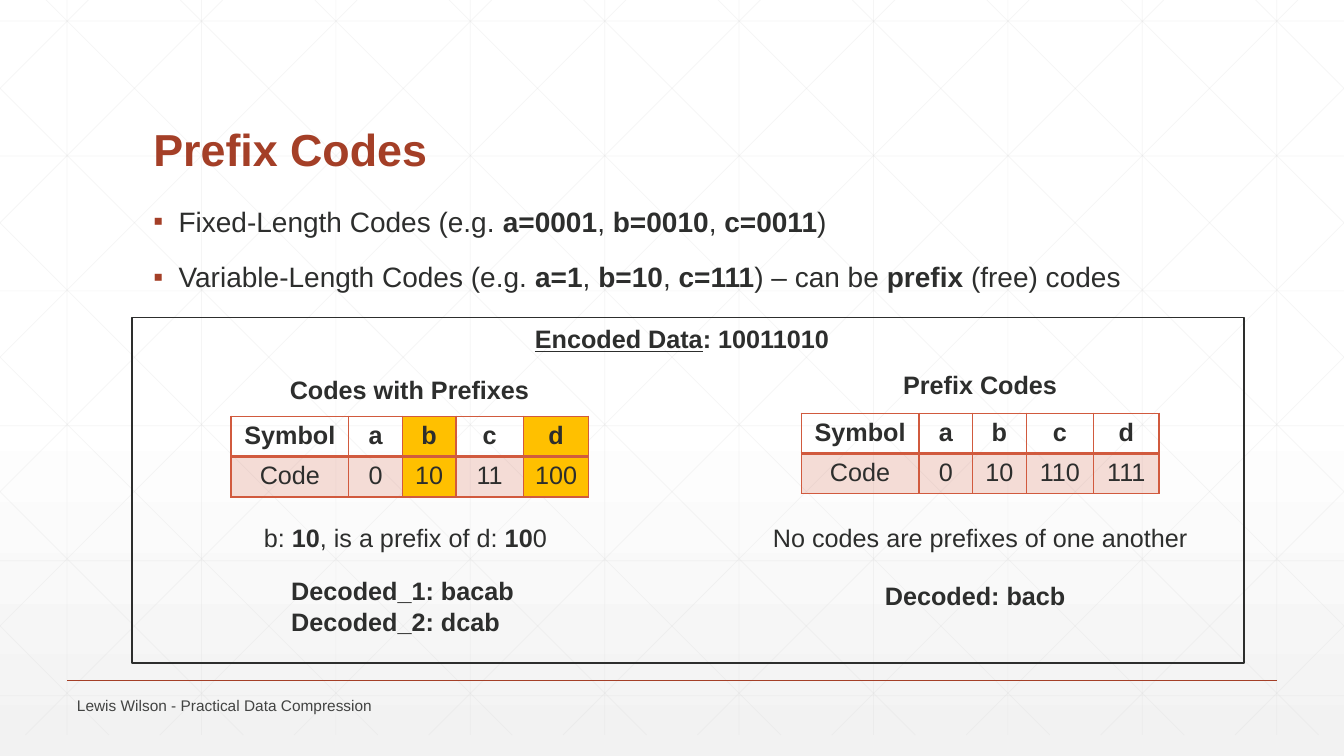
from lxml import etree
from pptx import Presentation
from pptx import util as u
from pptx.dml.color import RGBColor
from pptx.enum import shapes, text
from pptx.oxml import parse_xml
from pptx.oxml.ns import nsdecls, qn

INK, RUST, CORAL, GOLD, GRID = "2D2E2D", "A43F27", "D15A3E", "FFC000", "D9D9D9"
WIDTH, GRID_BOTTOM, STEP = 33.87, 18.52, 3.387
hexcolor = RGBColor.from_string


def write(paragraph, marked, size=18, color=INK):
    """Fill a paragraph; stretches between asterisks are bold."""
    paragraph.font.name = "Arial"
    paragraph.font.size = u.Pt(size)
    paragraph.font.color.rgb = hexcolor(color)
    for i, part in enumerate(marked.split("*")):
        if part:
            run = paragraph.add_run()
            run.text = part
            run.font.bold = i % 2 == 1


def label(left, top, width, height, lines, align=text.PP_ALIGN.LEFT, **style):
    frame = slide.shapes.add_textbox(
        u.Cm(left), u.Cm(top), u.Cm(width), u.Cm(height)).text_frame
    frame.word_wrap = True
    for i, line in enumerate(lines):
        paragraph = frame.add_paragraph() if i else frame.paragraphs[0]
        paragraph.alignment = align
        write(paragraph, line, **style)
    return frame


prs = Presentation()
prs.slide_width, prs.slide_height = u.Cm(WIDTH), u.Cm(19.05)
slide = prs.slides.add_slide(prs.slide_layouts[1])

# Background: white fading to light grey at the foot
backdrop = slide.background.fill
backdrop.gradient()
backdrop.gradient_angle = 270
for stop, position, shade in zip(backdrop.gradient_stops, (0.53, 1), ("FFFFFF", "F2F2F2")):
    stop.position = position
    stop.color.rgb = hexcolor(shade)

# Background grid: verticals, horizontals, and diagonals with their mirror images
grid = [(1.69 + STEP * i, 0, 1.69 + STEP * i, GRID_BOTTOM) for i in range(10)]
grid += [(0, 0.53 + 3.4 * i, WIDTH, 0.53 + 3.4 * i) for i in range(6)]
for i in range(-5, 10):
    start = 1.16 + STEP * i
    x1, x2 = max(start, 0), min(start + GRID_BOTTOM, WIDTH)
    grid.append((x1, x1 - start, x2, x2 - start))
    grid.append((WIDTH - x1, x1 - start, WIDTH - x2, x2 - start))

# Grid lines and the footer rule
rules = [(ends, GRID, 0.5, 25) for ends in grid]
rules.append(((1.69, 17.15, 32.17, 17.15), RUST, 1, 100))
for ends, color, weight, opacity in rules:
    rule = slide.shapes.add_connector(shapes.MSO_CONNECTOR.STRAIGHT, *map(u.Cm, ends))
    rule.line.color.rgb = hexcolor(color)
    rule.line.width = u.Pt(weight)
    for tint in rule._element.iter(qn("a:srgbClr")):
        etree.SubElement(tint, qn("a:alpha"), val=str(opacity * 1000))
    etree.SubElement(rule._element.spPr, qn("a:effectLst"))

# Title and bullets, placed in front of the grid
title, bullets = slide.placeholders
for holder, box in ((title, (3.61, 1.4, 26.67, 3.18)), (bullets, (3.61, 5.11, 26.49, 2.9))):
    holder.left, holder.top, holder.width, holder.height = map(u.Cm, box)
    holder.text_frame.auto_size = text.MSO_AUTO_SIZE.NONE
    holder._element.getparent().append(holder._element)
title.text_frame.vertical_anchor = text.MSO_ANCHOR.BOTTOM
heading = title.text_frame.paragraphs[0]
heading.alignment = text.PP_ALIGN.LEFT
heading.line_spacing = 0.9
write(heading, "*Prefix Codes*", 32, RUST)

points = ["Fixed-Length Codes (e.g. *a=0001*, *b=0010*, *c=0011*)",
          "Variable-Length Codes (e.g. *a=1*, *b=10*, *c=111*) – can be *prefix* (free) codes"]
for i, point in enumerate(points):
    bullet = bullets.text_frame.add_paragraph() if i else bullets.text_frame.paragraphs[0]
    bullet.line_spacing = 0.9
    bullet.space_before = u.Pt(18)
    props = bullet._p.get_or_add_pPr()
    props.set("marL", str(u.Cm(0.635)))
    props.set("indent", str(u.Cm(-0.635)))
    for xml in (f'<a:buClr {nsdecls("a")}><a:srgbClr val="{RUST}"/></a:buClr>',
                f'<a:buFont {nsdecls("a")} typeface="Arial"/>',
                f'<a:buChar {nsdecls("a")} char="▪"/>'):
        props.append(parse_xml(xml))
    write(bullet, point, 20)

# Example frame and its heading
frame = slide.shapes.add_shape(
    shapes.MSO_SHAPE.RECTANGLE, u.Cm(3.33), u.Cm(8), u.Cm(28.02), u.Cm(8.71))
frame.shadow.inherit = False
frame.fill.background()
frame.line.color.rgb = hexcolor(INK)
frame.line.width = u.Pt(1)
encoded = label(13.23, 8.03, 8.18, 1.02, ["*Encoded Data**: 10011010*"])
encoded.paragraphs[0].runs[0].font.underline = True

# Code tables: left, top, codes of a to d, highlighted columns
code_tables = [(20.19, 10.41, ["0", "10", "110", "111"], ()),
               (5.82, 10.49, ["0", "10", "11", "100"], (2, 4))]
for left, top, codes, marked_columns in code_tables:
    table = slide.shapes.add_table(
        2, 5, u.Cm(left), u.Cm(top), u.Cm(9), u.Cm(2.03)).table
    for column, width in zip(table.columns, (2.97, 1.35, 1.35, 1.7, 1.65)):
        column.width = u.Cm(width)
    for r, values in enumerate((["Symbol", *"abcd"], ["Code", *codes])):
        for c, value in enumerate(values):
            cell = table.cell(r, c)
            for side in "LRTB":
                weight = 2 if (r, side) == (0, "B") else 1
                cell._tc.get_or_add_tcPr().append(parse_xml(
                    f'<a:ln{side} {nsdecls("a")} w="{u.Pt(weight)}"><a:solidFill>'
                    f'<a:srgbClr val="{CORAL}"/></a:solidFill></a:ln{side}>'))
            if c in marked_columns:
                cell.fill.solid()
                cell.fill.fore_color.rgb = hexcolor(GOLD)
            elif r:
                cell.fill.solid()
                cell.fill.fore_color.rgb = hexcolor(CORAL)
                tint = cell._tc.tcPr.find(qn("a:solidFill"))[0]
                etree.SubElement(tint, qn("a:alpha"), val="20000")
            else:
                cell.fill.background()
            entry = cell.text_frame.paragraphs[0]
            entry.alignment = text.PP_ALIGN.CENTER
            write(entry, value if r else f"*{value}*")

# Table headings, remarks and decoded results
label(5.94, 9.3, 8.76, 1.02, ["*Codes with Prefixes*"], text.PP_ALIGN.CENTER)
label(20.32, 9.17, 8.76, 1.02, ["*Prefix Codes*"], text.PP_ALIGN.CENTER)
label(6.4, 13.03, 9.75, 1.02, ["b: *10*, is a prefix of d: *10*0"])
label(19.23, 13.03, 11.25, 1.02, ["No codes are prefixes of one another"])
label(7.09, 14.38, 6.17, 1.8, ["*Decoded_1: bacab*", "*Decoded_2: dcab*"])
label(22.05, 14.5, 5.61, 1.02, ["*Decoded: bacb*"])

# Footer
footer = label(1.69, 17.48, 17.02, 0.61, ["Lewis Wilson - Practical Data Compression"],
               size=11, color="424342")
footer.vertical_anchor = text.MSO_ANCHOR.MIDDLE

prs.save("out.pptx")
